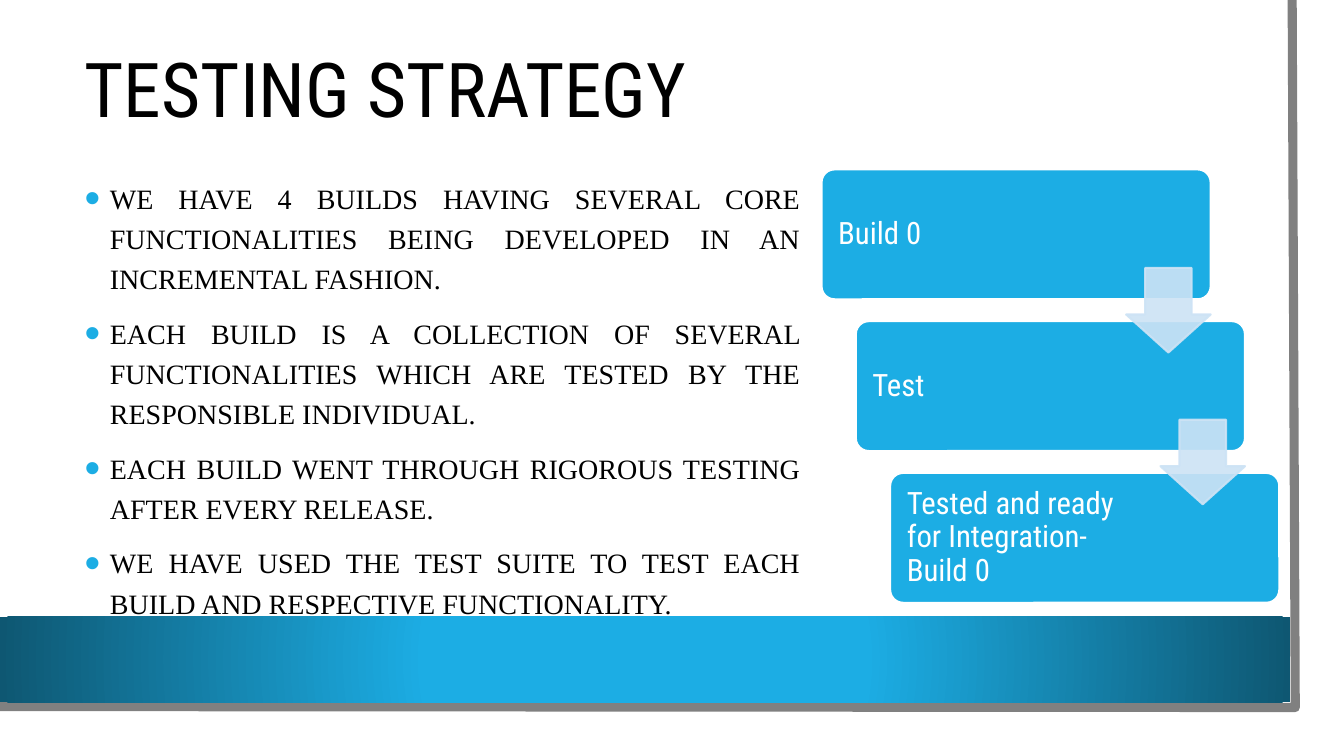
from dataclasses import dataclass

from lxml import etree
from pptx import Presentation
from pptx.dml.color import RGBColor
from pptx.enum.shapes import MSO_SHAPE
from pptx.enum.text import MSO_ANCHOR, MSO_AUTO_SIZE, PP_ALIGN
from pptx.oxml.ns import qn
from pptx.util import Pt

RECT, ROUNDED, DOWN = MSO_SHAPE.RECTANGLE, MSO_SHAPE.ROUNDED_RECTANGLE, MSO_SHAPE.DOWN_ARROW
LEFT, JUSTIFY = PP_ALIGN.LEFT, PP_ALIGN.JUSTIFY
TOP, MIDDLE = MSO_ANCHOR.TOP, MSO_ANCHOR.MIDDLE


@dataclass(frozen=True)
class Theme:
    accent: str = "1CADE4"
    accent_dark: str = "0E5772"
    arrow: str = "CDE3F5"
    edge: str = "808080"
    ink: str = "000000"
    paper: str = "FFFFFF"
    heading_font: str = "Roboto Condensed"
    body_font: str = "Times New Roman"
    title_size: float = 54
    body_size: float = 20
    step_size: float = 22


THEME = Theme()

STRATEGY = [
    "WE HAVE 4 BUILDS HAVING SEVERAL CORE FUNCTIONALITIES BEING DEVELOPED IN AN INCREMENTAL FASHION.",
    "EACH BUILD IS A COLLECTION OF SEVERAL FUNCTIONALITIES WHICH ARE TESTED BY THE RESPONSIBLE INDIVIDUAL.",
    "EACH BUILD WENT THROUGH RIGOROUS TESTING AFTER EVERY RELEASE.",
    "WE HAVE USED THE TEST SUITE TO TEST EACH BUILD AND RESPECTIVE FUNCTIONALITY.",
]
STEPS = ["Build 0", "Test", "Tested and ready for Integration- Build 0"]


def rgb(value):
    return RGBColor.from_string(value)


def set_all(target, values):
    for name, value in values.items():
        setattr(target, name, value)


def place(shape, box):
    set_all(shape, dict(zip(("left", "top", "width", "height"), map(Pt, box))))


def write(paragraph, text, font, size, color, **layout):
    paragraph.text = text
    set_all(paragraph, layout)
    set_all(paragraph.font, {"name": font, "size": Pt(size)})
    paragraph.font.color.rgb = rgb(color)


def add_panel(slide, kind, box, fill, line):
    panel = slide.shapes.add_shape(kind, *map(Pt, box))
    panel.shadow.inherit = False
    panel.fill.solid()
    panel.fill.fore_color.rgb = rgb(fill)
    panel.line.color.rgb = rgb(line)
    panel.line.width = Pt(1.5)
    return panel


def add_frame(slide, box):
    """Grey edge on the right and bottom, with the gradient band above it."""
    left, top, width, height = box
    right, bottom = left + width, top + height
    builder = slide.shapes.build_freeform(Pt(right - 2.2), Pt(top))
    builder.add_line_segments(
        [(Pt(right), Pt(bottom)), (Pt(left), Pt(bottom - 0.7))], close=False)
    edge = builder.convert_to_shape()
    edge.shadow.inherit = False
    edge.fill.background()
    edge.line.color.rgb = rgb(THEME.edge)
    edge.line.width = Pt(6.5)

    band = slide.shapes.add_shape(
        RECT, 0, Pt(bottom - 64.8), Pt(right - 3.6), Pt(61.2))
    band.shadow.inherit = False
    band.line.fill.background()
    band.fill.gradient()
    stops = ((0.34, THEME.accent), (1, THEME.accent_dark))
    for stop, (position, color) in zip(band.fill.gradient_stops, stops):
        stop.position = position
        stop.color.rgb = rgb(color)
    # Radial gradient spreading from the centre
    gradient = band.fill._xPr.find(qn("a:gradFill"))
    linear = gradient.find(qn("a:lin"))
    radial = etree.Element(qn("a:path"), {"path": "circle"})
    etree.SubElement(radial, qn("a:fillToRect"), dict.fromkeys("ltrb", "50000"))
    gradient.replace(linear, radial)


def fill_title(slide, box):
    title = slide.shapes.title
    place(title, box)
    set_all(title.text_frame, {"vertical_anchor": MIDDLE, "word_wrap": True,
                               "auto_size": MSO_AUTO_SIZE.NONE})
    write(title.text_frame.paragraphs[0], "TESTING STRATEGY", THEME.heading_font,
          THEME.title_size, THEME.ink, alignment=LEFT, line_spacing=0.9)


def add_bullet(paragraph):
    properties = paragraph._p.get_or_add_pPr()
    properties.set("marL", str(Pt(18)))
    properties.set("indent", str(Pt(-18)))
    color = etree.SubElement(properties, qn("a:buClr"))
    etree.SubElement(color, qn("a:srgbClr"), val=THEME.accent)
    etree.SubElement(properties, qn("a:buSzPct"), val="160000")
    etree.SubElement(properties, qn("a:buFont"), typeface="Arial")
    etree.SubElement(properties, qn("a:buChar"), char="•")
    # The default run properties must follow the bullet
    defaults = properties.find(qn("a:defRPr"))
    if defaults is not None:
        properties.append(defaults)


def fill_strategy(slide, box):
    body = slide.placeholders[1]
    place(body, box)
    frame = body.text_frame
    set_all(frame, {"vertical_anchor": TOP, "word_wrap": True,
                    "auto_size": MSO_AUTO_SIZE.NONE})
    for index, point in enumerate(STRATEGY):
        paragraph = frame.add_paragraph() if index else frame.paragraphs[0]
        write(paragraph, point, THEME.body_font, THEME.body_size, THEME.ink,
              alignment=JUSTIFY, line_spacing=1.2, space_before=Pt(10))
        for run in paragraph.runs:
            set_all(run.font, {"name": THEME.body_font, "size": Pt(THEME.body_size)})
        add_bullet(paragraph)


def add_staircase(slide, box):
    """Steps that descend to the right, then an arrow between each pair."""
    left, top, width, height = box
    step_width, step_height, arrow_size = 278, 92.8, 60.4
    gaps = len(STEPS) - 1
    shift = (width - step_width) / gaps
    pitch = (height - step_height) / gaps

    for index, label in enumerate(STEPS):
        step = add_panel(
            slide, ROUNDED,
            (left + index * shift, top + index * pitch, step_width, step_height),
            THEME.accent, THEME.paper)
        step.adjustments[0] = 0.1
        set_all(step.text_frame, {
            "word_wrap": True, "vertical_anchor": MIDDLE,
            "margin_left": Pt(9.2), "margin_right": Pt(94),
            "margin_top": Pt(9), "margin_bottom": Pt(9)})
        write(step.text_frame.paragraphs[0], label, THEME.heading_font,
              THEME.step_size, THEME.paper, alignment=LEFT, line_spacing=0.9)

    for index in range(gaps):
        arrow = add_panel(
            slide, DOWN,
            (left + index * shift + step_width - arrow_size,
             top + index * pitch + 70.4, arrow_size, arrow_size),
            THEME.arrow, THEME.arrow)
        arrow.adjustments[0], arrow.adjustments[1] = 0.55, 0.45
        for color in arrow._element.spPr.iter(qn("a:srgbClr")):
            etree.SubElement(color, qn("a:alpha"), val="90000")


def main():
    deck = Presentation()
    deck.slide_width, deck.slide_height = Pt(960), Pt(540)
    slide = deck.slides.add_slide(deck.slide_layouts[1])
    add_frame(slide, (-2.2, 0, 927.4, 505.4))
    fill_title(slide, (53.3, 20.9, 818.6, 90.7))
    fill_strategy(slide, (53.3, 121, 525.6, 281.5))
    add_staircase(slide, (586.8, 121, 327, 309.6))
    deck.save("out.pptx")


if __name__ == "__main__":
    main()
